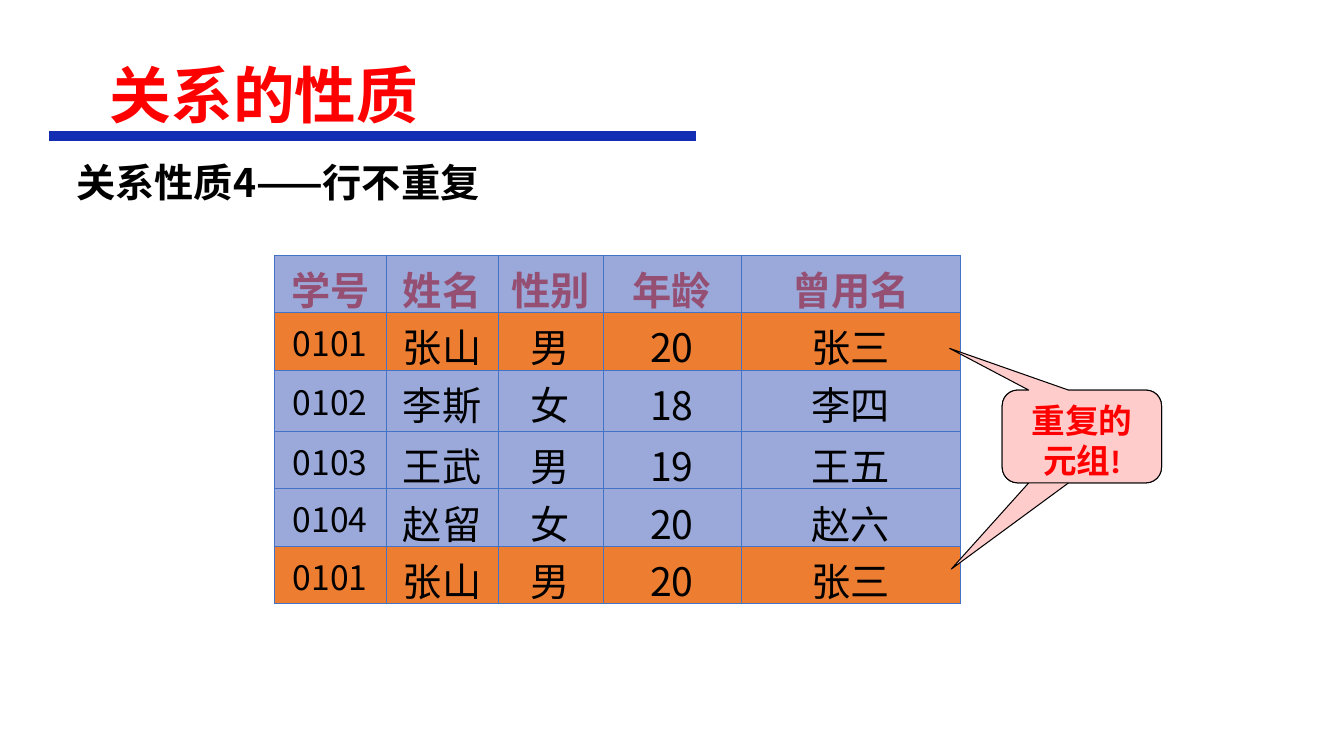
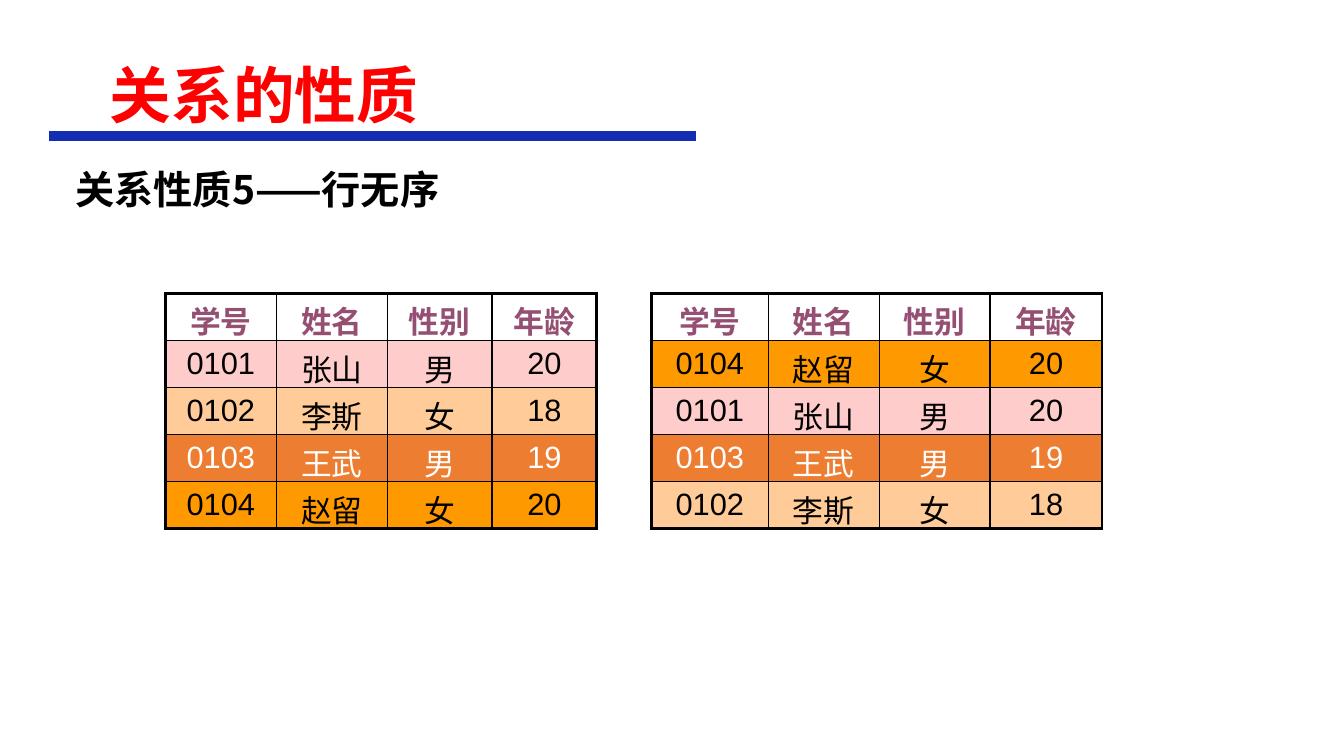
import pptx
import pptx.util
import pptx.dml.color
import pptx.enum.shapes
import pptx.enum.text
import pptx.oxml
import pptx.oxml.ns
import lxml.etree

Inches = pptx.util.Inches
Pt = pptx.util.Pt
qn = pptx.oxml.ns.qn
ALIGN = pptx.enum.text.PP_ALIGN
MIDDLE = pptx.enum.text.MSO_ANCHOR.MIDDLE

SANS = "Noto Sans CJK SC"
RED, BLACK, WHITE = "FF0000", "000000", "FFFFFF"
NAVY, BLUE, PLUM = "132EB2", "4472C4", "954F72"
PALE, PINK, PEACH = "9AA9D9", "FFCCCC", "FFCC99"
RUST, AMBER = "ED7D31", "FF9900"


def color(code):
    return pptx.dml.color.RGBColor.from_string(code)


class Deck:
    def __init__(self):
        self.prs = pptx.Presentation()
        self.prs.slide_width = Inches(13.33)
        self.prs.slide_height = Inches(7.5)
        self.slide = None

    def style(self, para, size, ink, bold=True, face=SANS, align=ALIGN.LEFT):
        para.alignment = align
        font = para.font
        font.size, font.bold, font.name = Pt(size), bold, face
        font.color.rgb = color(ink)
        # East Asian characters take their own typeface
        latin = para._p.find(".//" + qn("a:latin"))
        east = lxml.etree.Element(qn("a:ea"), typeface=SANS)
        latin.addnext(east)

    def page(self, title):
        self.slide = self.prs.slides.add_slide(self.prs.slide_layouts[5])
        head = self.slide.shapes.title
        head.left, head.top = Inches(0.99), Inches(0.25)
        head.width, head.height = Inches(11.5), Inches(1.45)
        frame = head.text_frame
        frame.text = title
        frame.vertical_anchor = MIDDLE
        para = frame.paragraphs[0]
        para.line_spacing = 0.9
        self.style(para, 44, RED)
        self.rule(0.49, 6.9, 1.35)

    def rule(self, left, right, top):
        line = self.slide.shapes.add_connector(
            pptx.enum.shapes.MSO_CONNECTOR.STRAIGHT,
            Inches(left), Inches(top), Inches(right), Inches(top))
        line.line.color.rgb = color(NAVY)
        line.line.width = Pt(7.25)
        lxml.etree.SubElement(line._element.spPr, qn("a:effectLst"))

    def label(self, text, left, top):
        box = self.slide.shapes.add_textbox(
            Inches(left), Inches(top), Inches(6.67), Inches(0.57))
        frame = box.text_frame
        frame.word_wrap = True
        frame.text = text
        self.style(frame.paragraphs[0], 28, BLACK)

    def edge(self, cell, side, ink, width):
        line = lxml.etree.Element(qn("a:ln" + side), w=str(Pt(width)))
        fill = lxml.etree.SubElement(line, qn("a:solidFill"))
        lxml.etree.SubElement(fill, qn("a:srgbClr"), val=ink)
        return line

    def frame(self, cell, ink, widths):
        # Borders come before the fill in the cell properties
        props = cell._tc.get_or_add_tcPr()
        for spot, (side, width) in enumerate(zip("LRTB", widths)):
            props.insert(spot, self.edge(cell, side, ink, width))

    def table(self, left, top, cols, rows, data, fills, face=SANS,
              sizes=(28, 28), ink=BLACK, thin=1, thick=2.25):
        """The first of sizes is for the numbers in the first column."""
        shape = self.slide.shapes.add_table(
            len(rows), len(cols), Inches(left), Inches(top),
            Inches(sum(cols)), Inches(sum(rows)))
        grid = shape.table
        grid.first_row = grid.horz_banding = False
        for col, width in zip(grid.columns, cols):
            col.width = Inches(width)
        for row, height in zip(grid.rows, rows):
            row.height = Inches(height)
        for r, (line, fill) in enumerate(zip(data, fills)):
            for c, text in enumerate(line):
                cell = grid.cell(r, c)
                cell.text = text
                cell.vertical_anchor = MIDDLE
                if fill:
                    cell.fill.solid()
                    cell.fill.fore_color.rgb = color(fill)
                else:
                    cell.fill.background()
                outer = (c == 0, c == len(cols) - 1,
                         r == 0, r == len(rows) - 1)
                self.frame(cell, ink, [thick if o else thin for o in outer])
                dark = WHITE if fill == RUST and face != SANS else BLACK
                size = sizes[0] if r and c == 0 else sizes[1]
                self.style(cell.text_frame.paragraphs[0], size,
                           dark if r else PLUM, r == 0, face, ALIGN.CENTER)

    def callout(self, box, tip, lines=()):
        shape = self.slide.shapes.add_shape(
            pptx.enum.shapes.MSO_SHAPE.ROUNDED_RECTANGULAR_CALLOUT,
            *[Inches(n) for n in box])
        shape.shadow.inherit = False
        shape.adjustments[0], shape.adjustments[1] = tip
        shape.fill.solid()
        shape.fill.fore_color.rgb = color(PINK)
        shape.line.color.rgb = color(BLACK)
        shape.line.width = Pt(0.75)
        if lines:
            frame = shape.text_frame
            frame.text = "\n".join(lines)
            frame.vertical_anchor = pptx.enum.text.MSO_ANCHOR.TOP
            for para in frame.paragraphs:
                self.style(para, 24, RED, face="Karla", align=ALIGN.CENTER)


HEAD = ["学号", "姓名", "性别", "年龄"]
PEOPLE = {
    "0101": ["张山", "男", "20"],
    "0102": ["李斯", "女", "18"],
    "0103": ["王武", "男", "19"],
    "0104": ["赵留", "女", "20"],
}
FORMER = {"0101": "张三", "0102": "李四", "0103": "王五", "0104": "赵六"}
TINTS = {"0101": PINK, "0102": PEACH, "0103": RUST, "0104": AMBER}


def main():
    deck = Deck()
    title = "关系的性质"

    # Property 4: no repeated rows
    deck.page(title)
    deck.label("关系性质4——行不重复", 0.66, 1.52)
    keys = [*PEOPLE, "0101"]
    data = [HEAD + ["曾用名"]]
    data += [[key, *PEOPLE[key], FORMER[key]] for key in keys]
    fills = [PALE] + [RUST if keys.count(k) > 1 else PALE for k in keys]
    deck.table(2.72, 2.53, [1.11, 1.11, 1.04, 1.37, 2.18],
               [0.57, 0.57, 0.61, 0.57, 0.57, 0.57], data, fills,
               sizes=(24, 28), ink=BLUE, thin=0.5, thick=0.5)
    box = (9.94, 3.87, 1.58, 0.92)
    deck.callout(box, (-0.82, 1.43))
    deck.callout(box, (-0.83, -0.95), ["重复的", "元组!"])

    # Property 5: rows have no order
    deck.page(title)
    deck.label("关系性质5——行无序", 0.65, 1.59)
    sides = [
        (1.64, [1.1, 1.1, 1.04, 1.04], list(PEOPLE)),
        (6.46, [1.16, 1.1, 1.1, 1.11], ["0104", "0101", "0103", "0102"]),
    ]
    for left, cols, keys in sides:
        data = [HEAD] + [[key, *PEOPLE[key]] for key in keys]
        fills = [None] + [TINTS[key] for key in keys]
        deck.table(left, 2.91, cols, [2.33 / 5] * 5, data, fills,
                   face="Arial", sizes=(22, 22))

    deck.prs.save("out.pptx")


if __name__ == "__main__":
    main()
